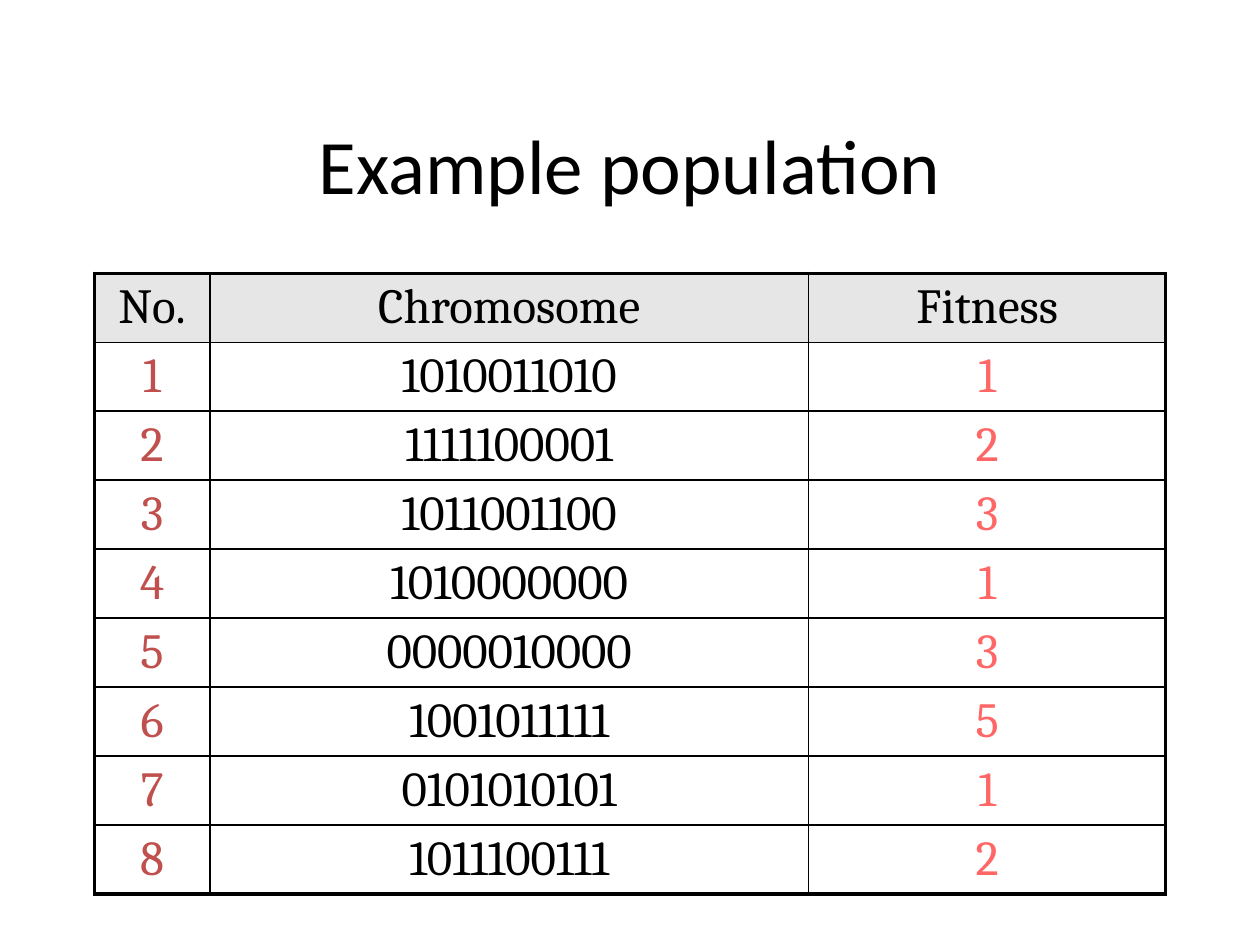
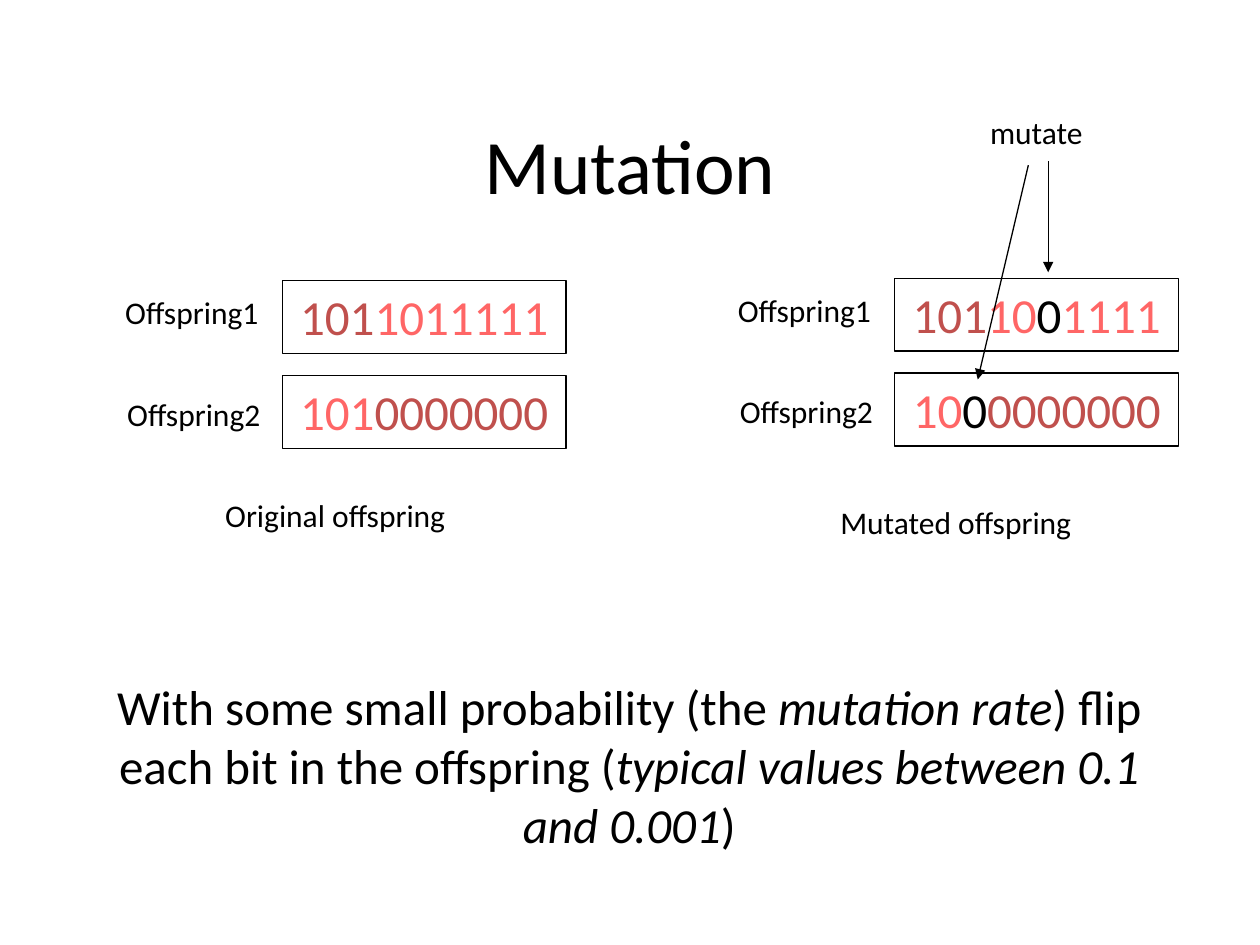
from lxml import etree
from pptx import Presentation
from pptx.dml.color import RGBColor
from pptx.enum import shapes, text
from pptx.oxml import ns
from pptx.util import Cm, Pt

BLACK, RED, PINK, GREY = "000000", "C0504D", "FF6666", "E6E6E6"
FONT, TABLE_FONT = "Calibri", "Cambria"
LEFT, CENTER, RIGHT = text.PP_ALIGN.LEFT, text.PP_ALIGN.CENTER, text.PP_ALIGN.RIGHT
TITLE_BOX = (1.9, 1.7, 21.6, 3.18)

HEADER = ("No.", "Chromosome", "Fitness")
POPULATION = [
    ("1010011010", 1), ("1111100001", 2), ("1011001100", 3), ("1010000000", 1),
    ("0000010000", 3), ("1001011111", 5), ("0101010101", 1), ("1011100111", 2),
]
COLUMN_WIDTHS = (2.33, 12.07, 7.2)
COLUMN_COLORS = (RED, BLACK, PINK)
TABLE_LEFT, TABLE_TOP, ROW_HEIGHT = 1.9, 5.51, 1.39

PANELS = [
    {"offset": (0, 0),
     "genes": [[("101", RED), ("1011111", PINK)],
               [("101", PINK), ("0000000", RED)]],
     "caption": ("Original offspring", (2.62, 9.88, 8.28, 1.27), CENTER)},
    {"offset": (12.35, -0.05),
     "genes": [[("101", RED), ("10", PINK), ("0", BLACK), ("1111", PINK)],
               [("10", PINK), ("0", BLACK), ("0000000", RED)]],
     "caption": ("Mutated offspring", (16.69, 10.01, 6.99, 1.27), LEFT)},
]
GENE_BOX, GENE_PITCH = (5.69, 5.66, 5.72, 1.47), 1.91
LABEL_BOX, LABEL_PITCH, LABEL_SHIFT = (0.94, 5.79, 4.52, 1.27), 2.04, 0.04
MUTATE_BOX = (19.71, 2.16, 3.2, 1.27)
ARROWS = [(21.13, 3.25, 21.13, 5.49), (20.73, 3.33, 19.71, 7.65)]
RULE_BOX = (2.08, 13.51, 21.21, 3.81)
RULE = [
    ("With some small probability (the ", False), ("mutation rate", True),
    (") flip each bit in the offspring (", False),
    ("typical values between 0.1 and 0.001", True), (")", False),
]


def rgb(value):
    return RGBColor.from_string(value)


def cm(values):
    return [Cm(v) for v in values]


def style(r, size, color=BLACK, font=FONT, italic=False):
    r.font.size, r.font.name, r.font.italic = Pt(size), font, italic
    r.font.color.rgb = rgb(color)


def add_title_slide(prs, title):
    s = prs.slides.add_slide(prs.slide_layouts[5])
    sp = s.shapes.title
    sp.left, sp.top, sp.width, sp.height = cm(TITLE_BOX)
    sp.text_frame.text = title
    style(sp.text_frame.paragraphs[0].runs[0], 44)
    return s


def fill_text(sp, runs, size, align):
    tf = sp.text_frame
    tf.word_wrap = True
    tf.vertical_anchor = text.MSO_ANCHOR.TOP
    p = tf.paragraphs[0]
    p.alignment = align
    for content, color, italic in runs:
        r = p.add_run()
        r.text = content
        style(r, size, color, italic=italic)


def add_text(s, content, box, align, size=18):
    runs = [(content, BLACK, False)] if isinstance(content, str) else content
    fill_text(s.shapes.add_textbox(*cm(box)), runs, size, align)


def add_gene(s, parts, box):
    sp = s.shapes.add_shape(shapes.MSO_SHAPE.RECTANGLE, *cm(box))
    sp.shadow.inherit = False
    sp.fill.background()
    sp.line.color.rgb = rgb(BLACK)
    sp.line.width = Pt(0.75)
    fill_text(sp, [(bits, color, False) for bits, color in parts], 28, CENTER)


def add_arrow(s, ends):
    line = s.shapes.add_connector(shapes.MSO_CONNECTOR.STRAIGHT, *cm(ends))
    line.line.color.rgb = rgb(BLACK)
    line.line.width = Pt(0.75)
    etree.SubElement(line.line._get_or_add_ln(), ns.qn("a:tailEnd"), type="triangle")
    etree.SubElement(line._element.spPr, ns.qn("a:effectLst"))


def set_borders(cell, widths):
    tc_pr = cell._tc.get_or_add_tcPr()
    for i, (side, width) in enumerate(zip("LRTB", widths)):
        ln = etree.Element(ns.qn(f"a:ln{side}"), w=str(Pt(width)))
        fill = etree.SubElement(ln, ns.qn("a:solidFill"))
        etree.SubElement(fill, ns.qn("a:srgbClr"), val=BLACK)
        tc_pr.insert(i, ln)


def add_population_table(s):
    rows = [HEADER] + [(n, *row) for n, row in enumerate(POPULATION, 1)]
    last_row, last_col = len(rows) - 1, len(HEADER) - 1
    box = (TABLE_LEFT, TABLE_TOP, sum(COLUMN_WIDTHS), ROW_HEIGHT * len(rows))
    table = s.shapes.add_table(len(rows), len(HEADER), *cm(box)).table
    for column, width in zip(table.columns, COLUMN_WIDTHS):
        column.width = Cm(width)
    for i, values in enumerate(rows):
        table.rows[i].height = Cm(ROW_HEIGHT)
        for j, value in enumerate(values):
            cell = table.cell(i, j)
            cell.text = str(value)
            p = cell.text_frame.paragraphs[0]
            p.alignment = CENTER
            style(p.runs[0], 28, COLUMN_COLORS[j] if i else BLACK, TABLE_FONT)
            if i:
                cell.fill.background()
            else:
                cell.fill.solid()
                cell.fill.fore_color.rgb = rgb(GREY)
            outer = (j == 0, j == last_col, i == 0, i == last_row)
            set_borders(cell, [2.25 if edge else 1 for edge in outer])


def add_panel(s, panel):
    dx, dy = panel["offset"]
    for i, parts in enumerate(panel["genes"]):
        x, y, w, h = GENE_BOX
        add_gene(s, parts, (x + dx, y + dy + i * GENE_PITCH, w, h))
        x, y, w, h = LABEL_BOX
        box = (x + dx + i * LABEL_SHIFT, y + dy + i * LABEL_PITCH, w, h)
        add_text(s, f"Offspring{i + 1}", box, RIGHT)
    add_text(s, *panel["caption"])


def main():
    prs = Presentation()
    prs.slide_width, prs.slide_height = Cm(25.4), Cm(19.05)

    add_population_table(add_title_slide(prs, "Example population"))

    s = add_title_slide(prs, "Mutation")
    for panel in PANELS:
        add_panel(s, panel)
    add_text(s, "mutate", MUTATE_BOX, LEFT)
    for ends in ARROWS:
        add_arrow(s, ends)
    add_text(s, [(t, BLACK, italic) for t, italic in RULE], RULE_BOX, CENTER, 28)

    prs.save("out.pptx")


if __name__ == "__main__":
    main()
